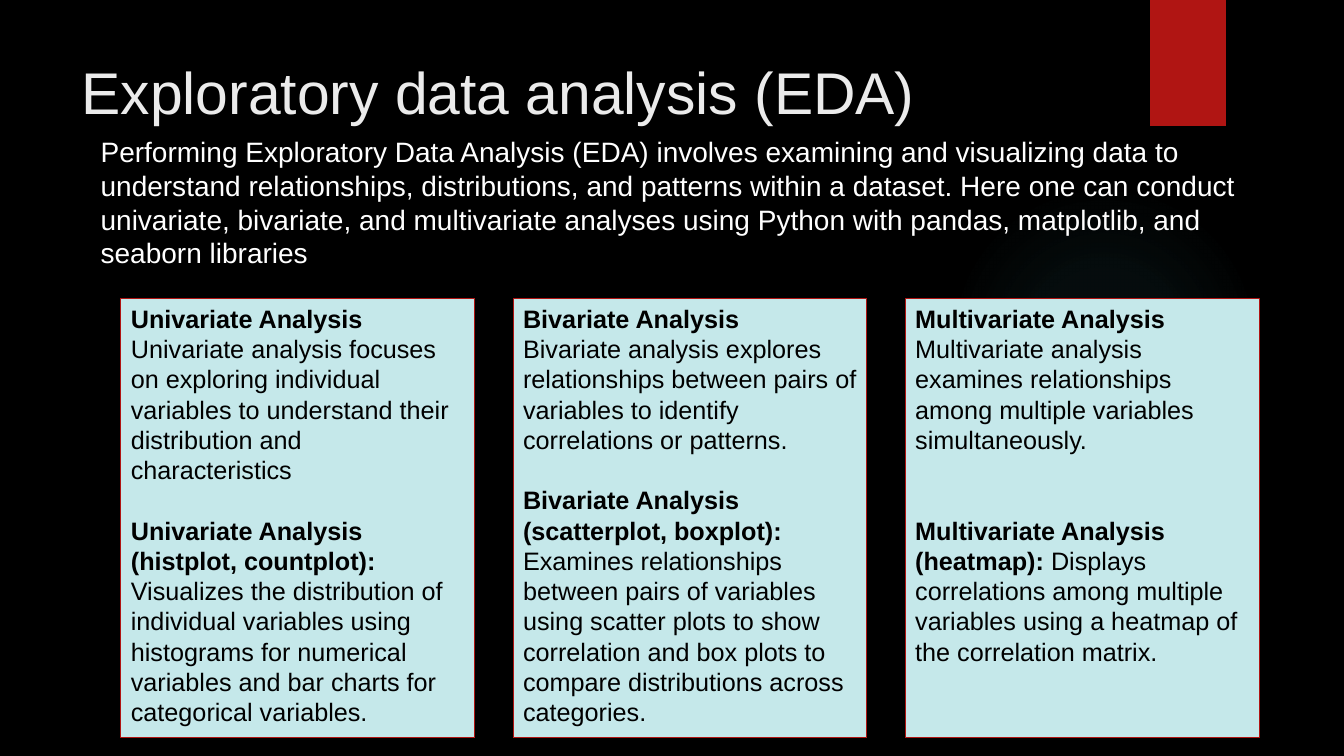
from dataclasses import dataclass

from lxml import etree
from pptx import Presentation
from pptx.dml.color import RGBColor
from pptx.enum.shapes import MSO_SHAPE
from pptx.enum.text import MSO_ANCHOR, PP_ALIGN
from pptx.oxml import parse_xml
from pptx.oxml.ns import nsdecls
from pptx.util import Inches, Pt

RECT, OVAL = MSO_SHAPE.RECTANGLE, MSO_SHAPE.OVAL
TOP, LEFT = MSO_ANCHOR.TOP, PP_ALIGN.LEFT

BLACK = RGBColor(0x00, 0x00, 0x00)
WHITE = RGBColor(0xFF, 0xFF, 0xFF)
TITLE_GREY = RGBColor(0xEB, 0xEB, 0xEB)
RED = RGBColor(0xB0, 0x15, 0x13)
CARD_BLUE = RGBColor(0xC5, 0xE8, 0xEA)
GLOW_TEAL = RGBColor(0x50, 0xB9, 0xC1)

FONT = "Arial"
SLIDE_W, SLIDE_H = Inches(13.333), Inches(7.5)
CARD_LINE = 21.6  # height of one line of card text, in points


@dataclass(frozen=True)
class Frame:
    """A rectangle in percent of the slide's width and height."""
    left: float
    top: float
    width: float
    height: float

    def box(self) -> tuple[int, int, int, int]:
        return (round(SLIDE_W * self.left / 100), round(SLIDE_H * self.top / 100),
                round(SLIDE_W * self.width / 100), round(SLIDE_H * self.height / 100))


@dataclass(frozen=True)
class Card:
    heading: str
    summary: str
    plots: str
    detail: str
    gap_lines: int = 1


GLOW = Frame(70.58, 24.4, 23.1, 41.07)
TAB = Frame(85.58, 0, 5.63, 16.67)
TITLE = Frame(5.33, 6.67, 77.18, 20.4)
INTRO = Frame(6.75, 17.2, 89.1, 19.6)
FIRST_CARD = Frame(9, 39.47, 26.33, 58.13)
CARD_PITCH = 29.18
GLOW_STOPS = ((0, 7), (36, 6), (69, 0))

INTRO_TEXT = (
    "Performing Exploratory Data Analysis (EDA) involves examining and visualizing data to "
    "understand relationships, distributions, and patterns within a dataset. Here one can "
    "conduct univariate, bivariate, and multivariate analyses using Python with pandas, "
    "matplotlib, and seaborn libraries")

CARDS = (
    Card("Univariate Analysis",
         "Univariate analysis focuses on exploring individual variables to understand their "
         "distribution and characteristics",
         "Univariate Analysis (histplot, countplot): ",
         "Visualizes the distribution of individual variables using histograms for numerical "
         "variables and bar charts for categorical variables."),
    Card("Bivariate Analysis",
         "Bivariate analysis explores relationships between pairs of variables to identify "
         "correlations or patterns.",
         "Bivariate Analysis (scatterplot, boxplot): ",
         "Examines relationships between pairs of variables using scatter plots to show "
         "correlation and box plots to compare distributions across categories."),
    Card("Multivariate Analysis",
         "Multivariate analysis examines relationships among multiple variables "
         "simultaneously.",
         "Multivariate Analysis (heatmap):",
         " Displays correlations among multiple variables using a heatmap of the "
         "correlation matrix.",
         gap_lines=2),
)


def add_run(p, text: str, *, size: float, color: RGBColor, bold: bool = False) -> None:
    r = p.add_run()
    r.text = text
    r.font.name, r.font.size, r.font.bold = FONT, Pt(size), bold
    r.font.color.rgb = color


def prepare_text(sp):
    tf = sp.text_frame
    tf.word_wrap = True
    tf.vertical_anchor = TOP
    return tf


def add_text(slide, frame: Frame, text: str, *, size: float, color: RGBColor) -> None:
    tf = prepare_text(slide.shapes.add_textbox(*frame.box()))
    add_run(tf.paragraphs[0], text, size=size, color=color)


def add_block(slide, kind, frame: Frame, fill: RGBColor, line: RGBColor | None = None):
    sp = slide.shapes.add_shape(kind, *frame.box())
    sp.shadow.inherit = False
    sp.fill.solid()
    sp.fill.fore_color.rgb = fill
    if line is None:
        sp.line.fill.background()
    else:
        sp.line.color.rgb = line
        sp.line.width = Pt(0.75)
    return sp


def add_glow(slide) -> None:
    """Draw a circle whose radial gradient fades out towards the edge."""
    sp = add_block(slide, OVAL, GLOW, GLOW_TEAL)
    stops = "".join(
        f'<a:gs pos="{pos * 1000}"><a:srgbClr val="{GLOW_TEAL}">'
        f'<a:alpha val="{alpha * 1000}"/></a:srgbClr></a:gs>' for pos, alpha in GLOW_STOPS)
    gradient = parse_xml(
        f'<a:gradFill {nsdecls("a")}><a:gsLst>{stops}</a:gsLst><a:path path="circle">'
        '<a:fillToRect l="50000" t="50000" r="50000" b="50000"/></a:path></a:gradFill>')
    props = sp.element.spPr
    solid = next(c for c in props if etree.QName(c).localname == "solidFill")
    props.replace(solid, gradient)


def add_card(slide, column: int, card: Card) -> None:
    frame = Frame(FIRST_CARD.left + column * CARD_PITCH, FIRST_CARD.top,
                  FIRST_CARD.width, FIRST_CARD.height)
    tf = prepare_text(add_block(slide, RECT, frame, CARD_BLUE, RED))
    heading, summary, plots = tf.paragraphs[0], tf.add_paragraph(), tf.add_paragraph()
    for p in tf.paragraphs:
        p.alignment = LEFT
    plots.space_before = Pt(card.gap_lines * CARD_LINE)
    for p, text, bold in ((heading, card.heading, True), (summary, card.summary, False),
                          (plots, card.plots, True), (plots, card.detail, False)):
        add_run(p, text, size=18, color=BLACK, bold=bold)


def main() -> None:
    prs = Presentation()
    prs.slide_width, prs.slide_height = SLIDE_W, SLIDE_H
    slide = prs.slides.add_slide(prs.slide_layouts[6])
    background = slide.background.fill
    background.solid()
    background.fore_color.rgb = BLACK

    add_glow(slide)
    add_block(slide, RECT, TAB, RED)
    add_text(slide, TITLE, "Exploratory data analysis (EDA)", size=42, color=TITLE_GREY)
    add_text(slide, INTRO, INTRO_TEXT, size=20, color=WHITE)
    for column, card in enumerate(CARDS):
        add_card(slide, column, card)
    prs.save("out.pptx")


if __name__ == "__main__":
    main()
